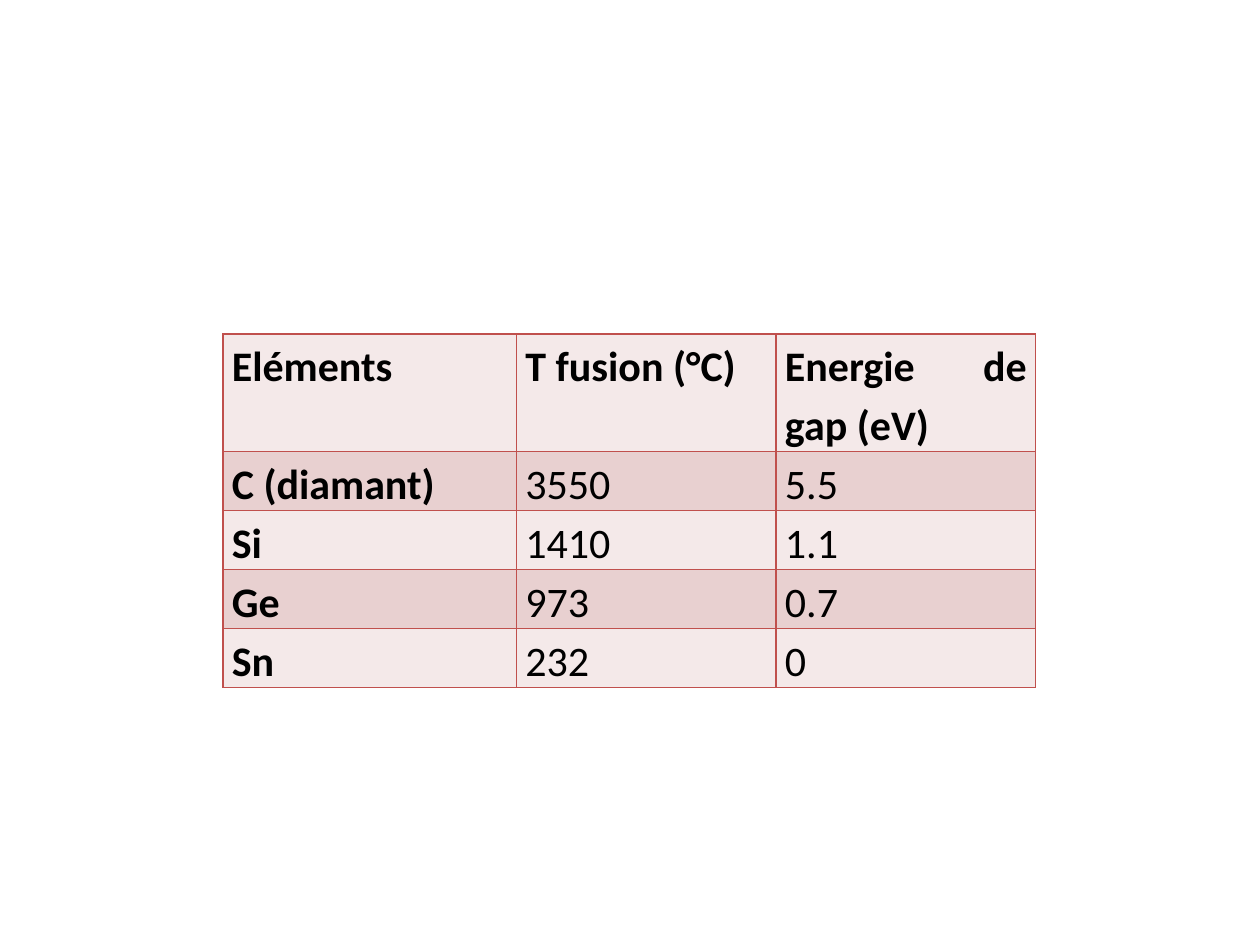
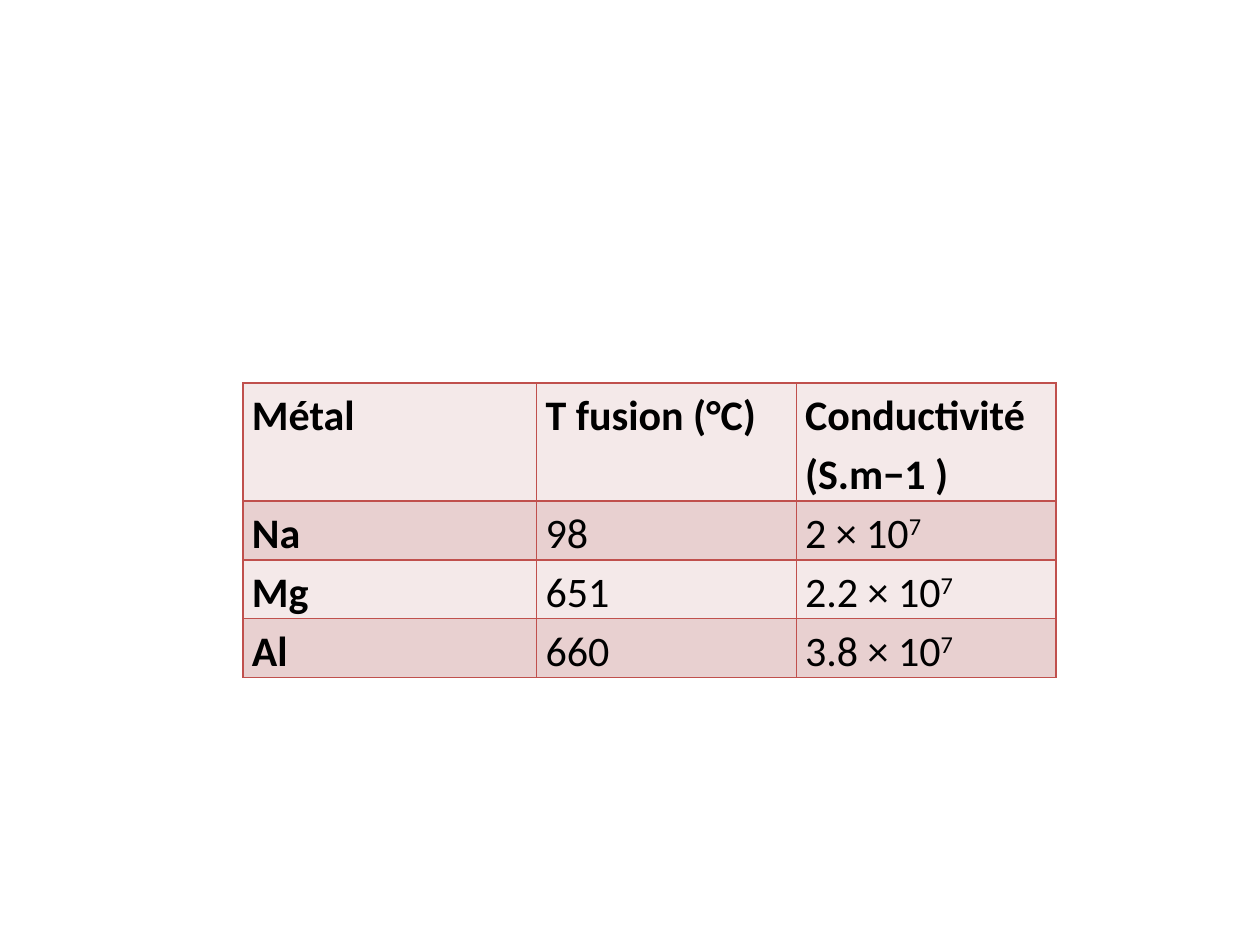
import dataclasses

import lxml.etree
import pptx
import pptx.dml.color
import pptx.enum.text
import pptx.oxml.ns
import pptx.presentation
import pptx.table
import pptx.text.text
import pptx.util
from pptx.util import Inches

FONT = "Calibri"
TEXT_SIZE = pptx.util.Pt(24)
TEXT_COLOUR = "000000"
BORDER_COLOUR = "C0504D"
BORDER_WIDTH = pptx.util.Pt(1)
BAND_COLOURS = ("F4E9E9", "E8D0D0")
COLUMN_WIDTHS = (2.33, 2.06, 2.06)
ROW_HEIGHT = 0.46
SIDE_MARGIN = Inches(0.07)


@dataclasses.dataclass(frozen=True)
class DataTable:
    left: float
    top: float
    rows: tuple[tuple[str, ...], ...]


# A caret marks the exponent that follows it.
SEMICONDUCTORS = DataTable(1.77, 2.65, (
    ("Eléments", "T fusion (°C)", "Energie de gap (eV)"),
    ("C (diamant)", "3550", "5.5"),
    ("Si", "1410", "1.1"),
    ("Ge", "973", "0.7"),
    ("Sn", "232", "0"),
))
METALS = DataTable(1.93, 3.04, (
    ("Métal", "T fusion (°C)", "Conductivité (S.m−1 )"),
    ("Na", "98", "2 × 10^7"),
    ("Mg", "651", "2.2 × 10^7"),
    ("Al", "660", "3.8 × 10^7"),
))


def colour(value: str) -> pptx.dml.color.RGBColor:
    return pptx.dml.color.RGBColor.from_string(value)


def add_borders(cell: pptx.table._Cell) -> None:
    properties = cell._tc.get_or_add_tcPr()
    for side in ("lnL", "lnR", "lnT", "lnB"):
        line = lxml.etree.SubElement(
            properties, pptx.oxml.ns.qn(f"a:{side}"), w=str(BORDER_WIDTH))
        fill = lxml.etree.SubElement(line, pptx.oxml.ns.qn("a:solidFill"))
        lxml.etree.SubElement(
            fill, pptx.oxml.ns.qn("a:srgbClr"), val=BORDER_COLOUR)


def add_span(para: pptx.text.text._Paragraph, text: str,
             bold: bool, raised: bool) -> None:
    span = para.add_run()
    span.text = text
    span.font.name = FONT
    span.font.size = TEXT_SIZE
    span.font.bold = bold
    span.font.color.rgb = colour(TEXT_COLOUR)
    if raised:
        span._r.get_or_add_rPr().set("baseline", "30000")


def fill_cell(cell: pptx.table._Cell, text: str, band: str, bold: bool) -> None:
    add_borders(cell)
    cell.fill.solid()
    cell.fill.fore_color.rgb = colour(band)
    cell.margin_left = cell.margin_right = SIDE_MARGIN
    cell.margin_top = cell.margin_bottom = 0
    para = cell.text_frame.paragraphs[0]
    para.alignment = pptx.enum.text.PP_ALIGN.JUSTIFY
    para.line_spacing = 1.15
    base, _, exponent = text.partition("^")
    add_span(para, base, bold, raised=False)
    if exponent:
        add_span(para, exponent, bold, raised=True)


def add_table_page(deck: pptx.presentation.Presentation, data: DataTable) -> None:
    page = deck.slides.add_slide(deck.slide_layouts[6])
    row_count = len(data.rows)
    table = page.shapes.add_table(
        row_count, len(COLUMN_WIDTHS), Inches(data.left), Inches(data.top),
        Inches(sum(COLUMN_WIDTHS)), Inches(ROW_HEIGHT * (row_count + 1))).table
    table.first_row = table.horz_banding = False
    for column, width in zip(table.columns, COLUMN_WIDTHS):
        column.width = Inches(width)
    for row_index, texts in enumerate(data.rows):
        is_header = row_index == 0
        table.rows[row_index].height = Inches(ROW_HEIGHT * (2 if is_header else 1))
        band = BAND_COLOURS[row_index % 2]
        for column_index, text in enumerate(texts):
            fill_cell(table.cell(row_index, column_index), text, band,
                      bold=is_header or column_index == 0)


def main() -> None:
    deck = pptx.Presentation()
    deck.slide_width = Inches(10)
    deck.slide_height = Inches(7.5)
    for data in (SEMICONDUCTORS, METALS):
        add_table_page(deck, data)
    deck.save("out.pptx")


if __name__ == "__main__":
    main()
